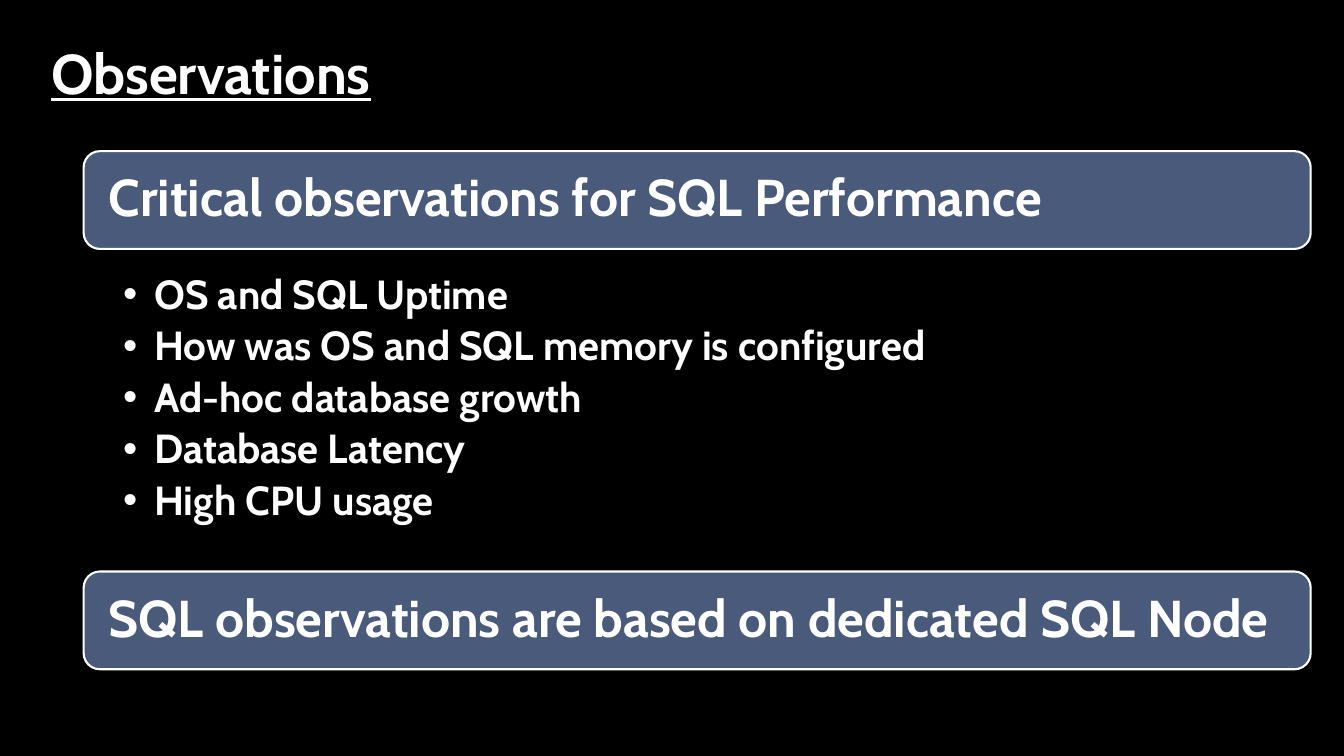
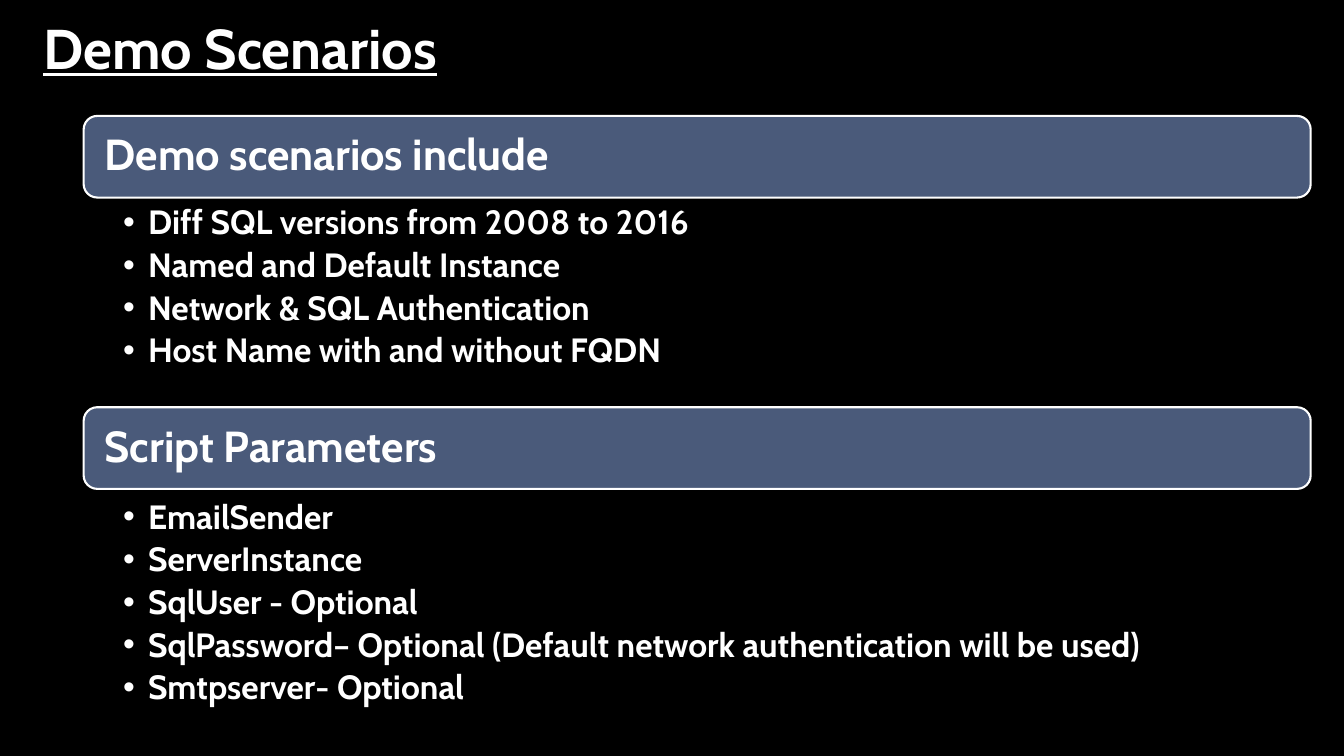
from dataclasses import dataclass
from typing import NamedTuple

from pptx import Presentation
from pptx.dml.color import RGBColor as Rgb
from pptx.enum.shapes import MSO_SHAPE as Preset
from pptx.enum.text import MSO_ANCHOR as Anchor, MSO_AUTO_SIZE as AutoSize, PP_ALIGN as Align
from pptx.util import Inches, Pt


@dataclass(frozen=True)
class Theme:
    font: str = "Cabin"
    ground: Rgb = Rgb.from_string("000000")
    band: Rgb = Rgb.from_string("4A5A7A")
    ink: Rgb = Rgb.from_string("FFFFFF")
    outline: float = 1.5
    title_size: int = 40
    line_spacing: float = 0.9
    bullet_gap: float = 0.19


class Box(NamedTuple):
    left: float
    top: float
    width: float
    height: float


class Scale(NamedTuple):
    heading_size: int
    bullet_size: int
    band_height: float
    heading_inset: float
    bullet_indent: float
    bullet_top_inset: float
    bullet_right_inset: float


class Section(NamedTuple):
    top: float
    heading: str
    bullets: tuple = ()
    gap: float = 0
    list_height: float = 0


THEME = Theme()
SLIDE_WIDTH, SLIDE_HEIGHT = 13.33, 7.5
SECTION_LEFT, SECTION_WIDTH = 0.83, 12.17
TITLE_WIDTH, TITLE_HEIGHT = 11.2, 0.58
LIST_INSET = 0.39
LAYOUT_BY_LISTS = {1: 1, 2: 3}

LARGE = Scale(37, 29, 0.97, 0.2, 0.31, 0.05, 0.29)
COMPACT = Scale(31, 24, 0.81, 0.17, 0.25, 0.04, 0.24)


def assign(target, values):
    for attribute, value in values.items():
        setattr(target, attribute, value)


def place(region, box):
    assign(region, {side: Inches(length) for side, length in box._asdict().items()})


def set_frame(frame, anchor, left, top, right):
    assign(frame, {
        "word_wrap": True,
        "auto_size": AutoSize.NONE,
        "vertical_anchor": anchor,
        "margin_left": Inches(left),
        "margin_top": Inches(top),
        "margin_right": Inches(right),
        "margin_bottom": Inches(top),
    })


def write(paragraph, text, size, underline=False, **spacing):
    run = paragraph.add_run()
    run.text = text
    assign(run.font, {"name": THEME.font, "size": Pt(size), "bold": True, "underline": underline})
    run.font.color.rgb = THEME.ink
    assign(paragraph, {"alignment": Align.LEFT, "space_before": Pt(0), **spacing})


def paint(region, fill, line):
    region.fill.solid()
    region.fill.fore_color.rgb = fill
    region.line.color.rgb = line
    region.line.width = Pt(THEME.outline)


def add_title(slide, box, text):
    title = slide.shapes.title
    place(title, box)
    paint(title, THEME.ground, THEME.ground)
    set_frame(title.text_frame, Anchor.TOP, 0.1, 0.05, 0.1)
    write(title.text_frame.paragraphs[0], text, THEME.title_size, underline=True, space_before=Pt(4))


def add_band(slide, box, heading, scale):
    band = slide.shapes.add_shape(Preset.ROUNDED_RECTANGLE, *map(Inches, box))
    band.shadow.inherit = False
    paint(band, THEME.band, THEME.ink)
    set_frame(band.text_frame, Anchor.MIDDLE, scale.heading_inset, 0, scale.heading_inset)
    write(band.text_frame.paragraphs[0], heading, scale.heading_size,
          line_spacing=THEME.line_spacing)


def fill_list(body, box, bullets, scale):
    place(body, box)
    frame = body.text_frame
    set_frame(frame, Anchor.TOP, LIST_INSET, scale.bullet_top_inset, scale.bullet_right_inset)
    indent = Inches(scale.bullet_indent)
    for position, bullet in enumerate(bullets):
        paragraph = frame.add_paragraph() if position else frame.paragraphs[0]
        write(paragraph, bullet, scale.bullet_size, line_spacing=THEME.line_spacing,
              space_after=Pt(scale.bullet_size * THEME.bullet_gap))
        properties = paragraph._p.get_or_add_pPr()
        for name, value in {"marL": indent, "indent": -indent}.items():
            properties.set(name, str(value))


def add_section_slide(deck, title, title_corner, scale, sections):
    lists = [section for section in sections if section.bullets]
    slide = deck.slides.add_slide(deck.slide_layouts[LAYOUT_BY_LISTS[len(lists)]])
    add_title(slide, Box(*title_corner, TITLE_WIDTH, TITLE_HEIGHT), title)
    for section in sections:
        band_box = Box(SECTION_LEFT, section.top, SECTION_WIDTH, scale.band_height)
        add_band(slide, band_box, section.heading, scale)
    for number, section in enumerate(lists, start=1):
        list_top = section.top + scale.band_height + section.gap
        list_box = Box(SECTION_LEFT, list_top, SECTION_WIDTH, section.list_height)
        fill_list(slide.placeholders[number], list_box, section.bullets, scale)


deck = Presentation()
assign(deck, {"slide_width": Inches(SLIDE_WIDTH), "slide_height": Inches(SLIDE_HEIGHT)})
backdrop = deck.slide_master.background.fill
backdrop.solid()
backdrop.fore_color.rgb = THEME.ground

add_section_slide(deck, "Observations", (0.41, 0.33), LARGE, (
    Section(1.5, "Critical observations for SQL Performance", (
        "OS and SQL Uptime",
        "How was OS and SQL memory is configured",
        "Ad-hoc database growth",
        "Database Latency",
        "High CPU usage",
    ), gap=0.2, list_height=2.76),
    Section(5.67, "SQL observations are based on dedicated SQL Node"),
))

add_section_slide(deck, "Demo Scenarios", (0.33, 0.08), COMPACT, (
    Section(1.15, "Demo scenarios include", (
        "Diff SQL versions from 2008 to 2016",
        "Named and Default Instance",
        "Network & SQL Authentication",
        "Host Name with and without FQDN",
    ), gap=0.04, list_height=2.07),
    Section(4.04, "Script Parameters", (
        "EmailSender",
        "ServerInstance",
        "SqlUser - Optional",
        "SqlPassword– Optional (Default network authentication will be used)",
        "Smtpserver- Optional",
    ), gap=0.07, list_height=2.41),
))

deck.save("out.pptx")
